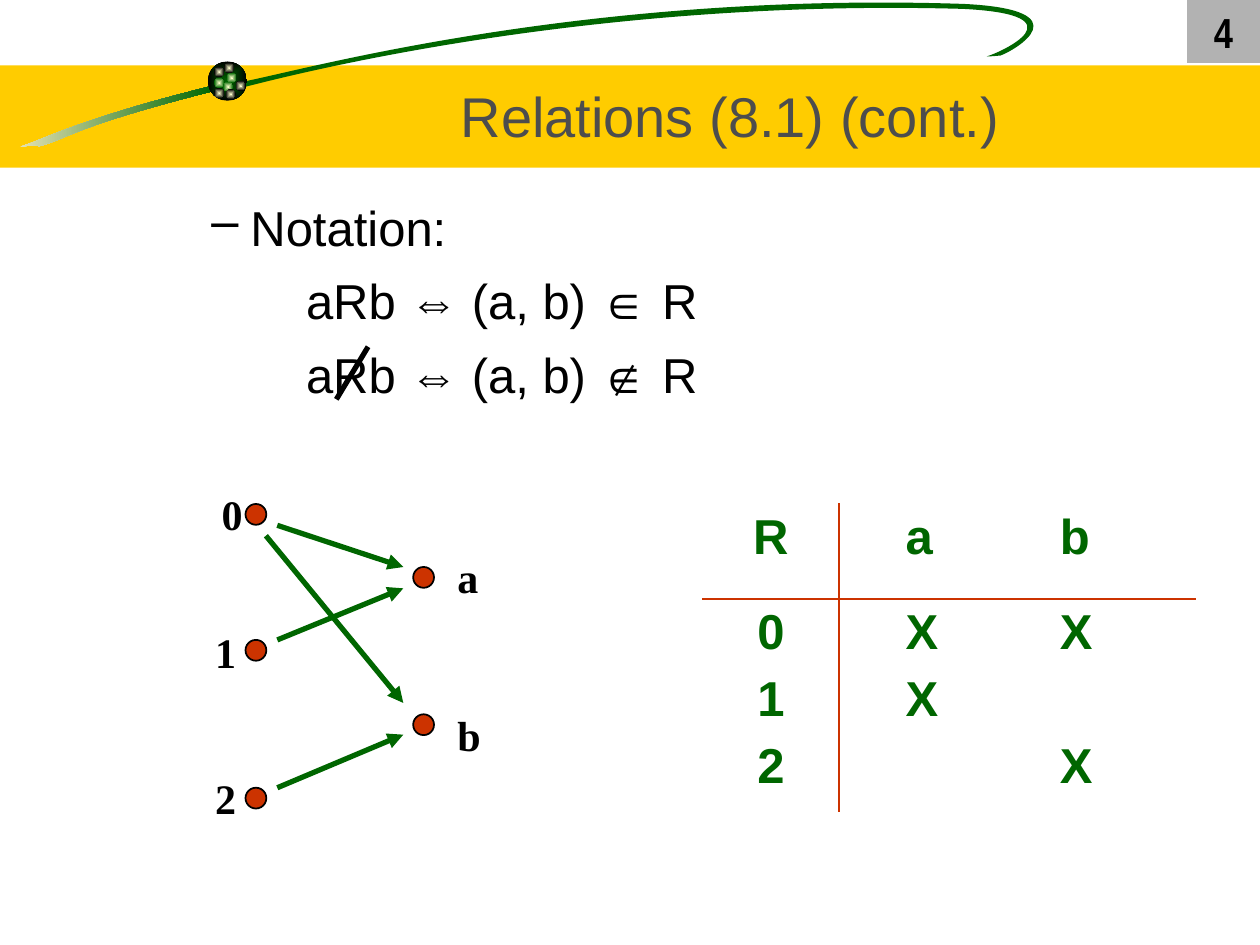
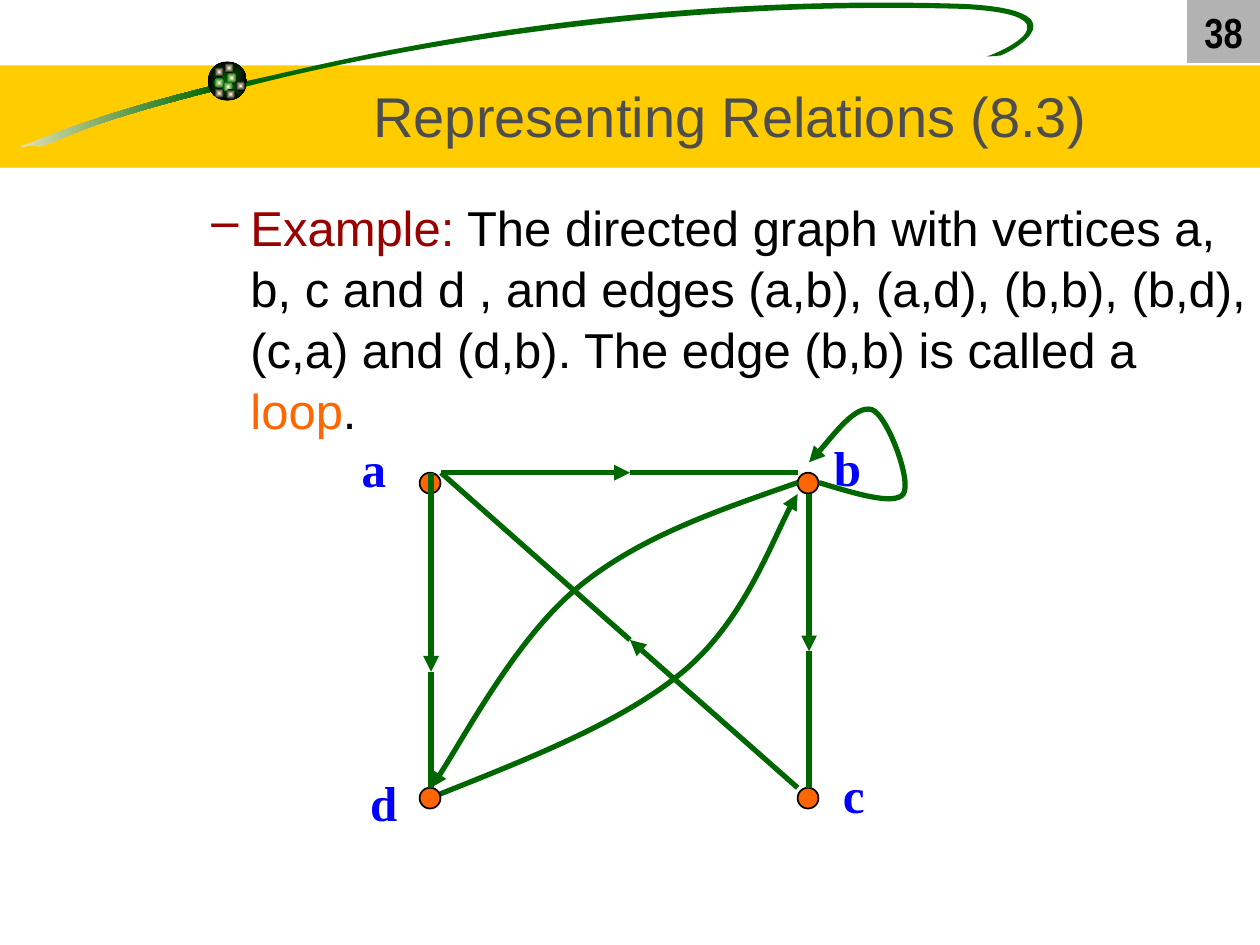
"""Build two slides on relations: arrow diagram with table, and directed graph."""
from lxml import etree
from pptx import Presentation
from pptx import util as u
from pptx.dml.color import RGBColor
from pptx.enum import shapes, text
from pptx.oxml.ns import qn

GREEN, BLACK, RUST, ORANGE, CREAM = "006600", "000000", "CC3300", "FF6600", "FFFFCC"
SANS, SERIF, THIN = "Arial", "Times New Roman", "Arial Narrow"
MID = text.PP_ALIGN.CENTER
TAIL = [(4.29, 1.73), (2.21, 2.24), (1.22, 2.64), (0.66, 2.87), (0.08, 3.07), (0.69, 2.87),
        (0.79, 2.95), (1.4, 2.79), (1.42, 2.57), (4.32, 1.83)]
SWOOSH = [(4.88, 1.65), (5.92, 1.47), (11.63, -0.18), (19.43, 0.08), (21.87, 0.2),
          (20.45, 1.02), (20.17, 1.12), (20.17, 1.12), (19.99, 1.14), (19.89, 1.14),
          (20.14, 1.07), (21.87, 0.3), (19.41, 0.18), (13.11, 0), (7.7, 1.04), (4.95, 1.75)]
BEADS = [(4.57, 1.47, GREEN), (4.32, 1.35, BLACK), (4.32, 1.57, GREEN), (4.5, 1.65, GREEN),
         (4.75, 1.63, BLACK), (4.55, 1.8, BLACK), (4.32, 1.78, BLACK), (4.52, 1.27, BLACK)]


def rgb(code):
    """Turn a hex string into a colour."""
    return RGBColor.from_string(code)


def cms(*nums):
    """Turn numbers into lengths."""
    return [u.Cm(n) for n in nums]


def sub(node, tag, **attrs):
    """Append an XML child."""
    return etree.SubElement(node, qn(tag), attrs)


class Deck:
    """Hold the shared style and the current slide."""

    def __init__(self):
        """Start an empty deck."""
        self.prs = Presentation()
        self.prs.slide_width, self.prs.slide_height = cms(25.4, 19.05)
        self.slide = None

    def page(self, num, title):
        """Add a slide with band, swoosh, ball, number and title."""
        self.slide = self.prs.slides.add_slide(self.prs.slide_layouts[6])
        self.shape("RECTANGLE", (0, 1.32, 25.4, 2.06), "FFCC00")
        self.blend(self.curve(TAIL, fill=GREEN), "F5EBC1", GREEN)
        self.curve(SWOOSH, fill=GREEN)
        self.blend(self.shape("OVAL", (4.19, 1.24, 0.79, 0.79), GREEN), GREEN, BLACK, True)
        for x, y, rim in BEADS:
            self.blend(self.shape("OVAL", (x, y, 0.2, 0.2), rim), CREAM, rim, True)
        tag = self.shape("RECTANGLE", (23.93, 0, 1.47, 1.27), "B2B2B2")
        self.say(tag.text_frame.paragraphs[0], [(num, BLACK)], 24, THIN, True, MID)
        head = self.frame((4.24, 1.27, 20.96, 2.11))
        head.vertical_anchor = text.MSO_ANCHOR.MIDDLE
        self.say(head.paragraphs[0], [(title, "4D4D4D")], 32, align=MID)

    def shape(self, kind, box, fill, line=None):
        """Add a preset shape."""
        item = self.slide.shapes.add_shape(getattr(shapes.MSO_SHAPE, kind), *cms(*box))
        self.paint(item, fill, line, 1)
        return item

    def paint(self, item, fill, line, width):
        """Set fill and line, and drop the shadow."""
        item.shadow.inherit = False
        if fill:
            item.fill.solid()
            item.fill.fore_color.rgb = rgb(fill)
        else:
            item.fill.background()
        if line:
            item.line.color.rgb, item.line.width = rgb(line), u.Pt(width)
        else:
            item.line.fill.background()

    def blend(self, item, first, last, boxed=False):
        """Fill a shape with a linear or centred gradient."""
        item.fill.gradient()
        item.fill.gradient_angle = 0
        for stop, code in zip(item.fill.gradient_stops, (first, last)):
            stop.color.rgb = rgb(code)
        if boxed:
            grad = item._element.spPr.find(qn("a:gradFill"))
            grad.remove(grad.find(qn("a:lin")))
            mode = sub(grad, "a:path", **{"path": "rect"})
            sub(mode, "a:fillToRect", l="50000", t="50000", r="50000", b="50000")

    def curve(self, pts, fill=None, line=None):
        """Draw cubic curves through a start and triples of points."""
        spots = [cms(*p) for p in pts]
        pen = self.slide.shapes.build_freeform(*spots[0])
        pen.add_line_segments(spots[1:], close=bool(fill))
        item = pen.convert_to_shape()
        steps = list(item._element.iter(qn("a:lnTo")))
        for i in range(0, len(pts) - 1, 3):
            bend = etree.Element(qn("a:cubicBezTo"))
            steps[i].addprevious(bend)
            for step in steps[i:i + 3]:
                bend.append(step[0])
                step.getparent().remove(step)
        self.paint(item, fill, line, 3)
        if line:
            self.tip(item)
        return item

    def tip(self, item):
        """Put an arrowhead at the end of a line."""
        sub(item._element.spPr.find(qn("a:ln")), "a:tailEnd", type="triangle")

    def line(self, start, end, code=GREEN, arrow=False):
        """Draw a straight line."""
        item = self.slide.shapes.add_connector(
            shapes.MSO_CONNECTOR.STRAIGHT, *cms(*start, *end))
        item.line.color.rgb, item.line.width = rgb(code), u.Pt(3)
        if arrow:
            self.tip(item)
        sub(item._element.spPr, "a:effectLst")

    def edge(self, start, mid, end):
        """Draw an edge with its arrowhead part way along."""
        self.line(start, mid, arrow=True)
        self.line(mid, end)

    def dots(self, spots, fill):
        """Draw the vertices."""
        for x, y in spots:
            self.shape("OVAL", (x, y, 0.42, 0.42), fill, BLACK)

    def frame(self, box):
        """Add a wrapping text box."""
        frame = self.slide.shapes.add_textbox(*cms(*box)).text_frame
        frame.word_wrap = True
        return frame

    def label(self, word, x, y, size, code):
        """Name a vertex."""
        frame = self.frame((x, y, size * 0.037, size * 0.052))
        frame.word_wrap = False
        frame.auto_size = text.MSO_AUTO_SIZE.SHAPE_TO_FIT_TEXT
        self.say(frame.paragraphs[0], [(word, code)], size, SERIF, True)

    def say(self, para, parts, size, face=SANS, bold=False, align=text.PP_ALIGN.LEFT):
        """Fill a paragraph with coloured parts."""
        para.alignment = align
        font = para.font
        font.size, font.name, font.bold = u.Pt(size), face, bold
        if len(parts) == 1:
            font.color.rgb = rgb(parts[0][1])
        for word, code in parts:
            run = para.add_run()
            run.text = word
            if len(parts) > 1:
                run.font.color.rgb = rgb(code)

    def body(self, *paras):
        """Add a dashed paragraph, then indented ones."""
        frame = self.frame((2.74, 3.81, 22.66, 13.97))
        for i, parts in enumerate(paras):
            para = frame.add_paragraph() if i else frame.paragraphs[0]
            para.space_before, para.line_spacing = u.Pt(7), 1.04
            prop = para._p.get_or_add_pPr()
            prop.set("marL", str(u.Cm(3.18 if i else 2.06)))
            if not i:
                prop.set("indent", str(u.Cm(-0.79)))
                sub(sub(prop, "a:buClr"), "a:srgbClr", val=parts[0][1])
                sub(prop, "a:buChar", char="–")
            self.say(para, parts, 28)

    def table(self, box, cols, rows, cells, sides):
        """Add a table ruled only between its cells."""
        grid = self.slide.shapes.add_table(len(rows), len(cols), *cms(*box)).table
        grid.first_row = grid.horz_banding = False
        for col, wide in zip(grid.columns, cols):
            col.width = u.Cm(wide)
        for row, high in zip(grid.rows, rows):
            row.height = u.Cm(high)
        for r, line in enumerate(cells):
            for c, words in enumerate(line):
                self.cell(grid.cell(r, c), words, sides[r][c], c)

    def cell(self, cell, words, sides, tabbed):
        """Rule and fill one table cell."""
        for side in sides:
            rule = sub(cell._tc.get_or_add_tcPr(), "a:ln" + side, w=str(u.Pt(1.5)))
            sub(sub(rule, "a:solidFill"), "a:srgbClr", val=RUST)
        cell.fill.background()
        for i, word in enumerate(words):
            para = cell.text_frame.add_paragraph() if i else cell.text_frame.paragraphs[0]
            para.space_before = u.Pt(7 if i else 0)
            if tabbed:
                stops = sub(para._p.get_or_add_pPr(), "a:tabLst")
                for stop in cms(1.09, 4.2):
                    sub(stops, "a:tab", pos=str(stop), algn="l")
            align = text.PP_ALIGN.LEFT if tabbed else MID
            self.say(para, [(word, GREEN)], 28, bold=True, align=align)


def notation(deck):
    """Build the slide on notation."""
    deck.page("4", "Relations (8.1) (cont.)")
    deck.body([("Notation:", BLACK)], [("aRb ⇔ (a, b) ∈ R", BLACK)],
              [("aRb ⇔ (a, b) ∉ R", BLACK)])
    deck.line((7.42, 6.99), (6.78, 8.05), BLACK)
    deck.table((14.17, 10.16, 9.93, 6.2), (2.74, 7.19), (1.91, 4.29),
               [[["R"], ["\ta\tb"]], [["0", "1", "2"], ["\tX\tX", "\tX", "\t\tX"]]],
               [["RB", "LB"], ["RT", "LT"]])
    deck.dots([(4.95, 10.16), (4.95, 12.9), (4.95, 15.88), (8.33, 14.4), (8.33, 11.43)], RUST)
    for word, x, y in [("0", 4.22, 9.73), ("1", 4.09, 12.5), ("2", 4.09, 15.44),
                       ("a", 8.97, 11), ("b", 8.97, 14.17)]:
        deck.label(word, x, y, 24, BLACK)
    for x, top, end in [(5.59, 10.59, 11.43), (5.59, 12.9, 11.86),
                        (5.36, 10.8, 14.17), (5.59, 15.88, 14.81)]:
        deck.line((x, top), (8.13, end), arrow=True)


def graph(deck):
    """Build the slide with the directed graph."""
    deck.page("38", "Representing Relations (8.3)")
    deck.curve([(8.69, 16.08), (10.59, 15.32), (12.52, 14.58), (13.77, 13.54),
                (14.99, 12.52), (15.7, 10.54), (16.08, 9.96)], line=GREEN)
    deck.body([("Example:", "990000"),
               (" The directed graph with vertices a, b, c and d , and edges (a,b), (a,d), "
                "(b,b), (b,d), (c,a) and (d,b). The edge (b,b) is called a ", BLACK),
               ("loop", ORANGE), (".", BLACK)])
    deck.dots([(x, y) for x in (8.46, 16.08) for y in (9.53, 15.88)], ORANGE)
    for word, x, y in [("a", 7.04, 8.71), ("b", 16.56, 8.69),
                       ("c", 16.74, 15.29), ("d", 7.21, 15.44)]:
        deck.label(word, x, y, 28, "0000FF")
    deck.edge((8.69, 9.53), (8.69, 13.54), (8.69, 15.88))
    deck.edge((16.31, 9.96), (16.31, 13.13), (16.31, 15.88))
    deck.edge((8.89, 9.53), (12.7, 9.53), (16.08, 9.53))
    deck.edge((16.08, 15.88), (12.7, 12.9), (8.89, 9.53))
    deck.curve([(16.51, 9.73), (17.27, 9.96), (18.03, 10.19), (18.21, 9.96), (18.39, 9.7),
                (17.88, 8.36), (17.58, 8.26), (17.25, 8.15), (16.51, 9.14), (16.31, 9.32)],
               line=GREEN)
    deck.curve([(16.08, 9.73), (14.48, 10.29), (12.88, 10.82), (11.63, 11.86),
                (10.41, 12.88), (9.17, 15.21), (8.69, 15.88)], line=GREEN)


def main():
    """Build and save the deck."""
    deck = Deck()
    notation(deck)
    graph(deck)
    deck.prs.save("out.pptx")


if __name__ == "__main__":
    main()
